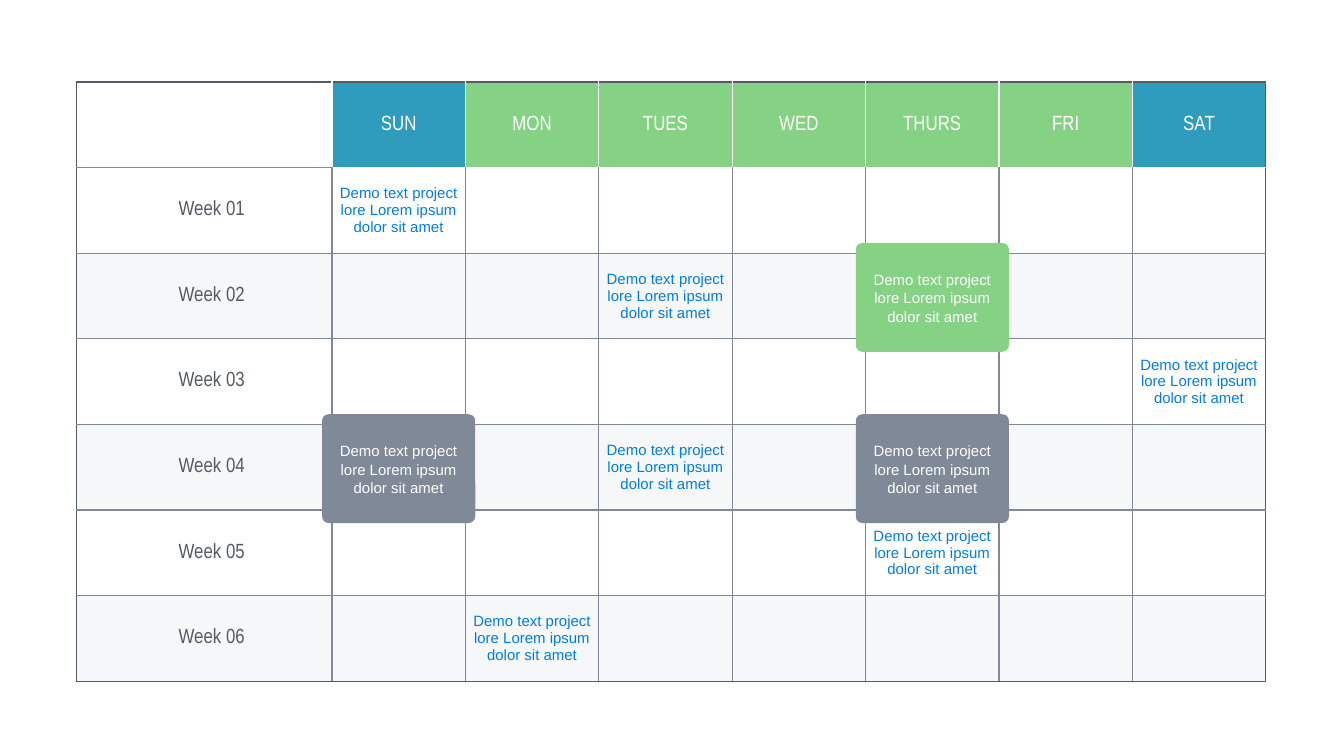
from lxml import etree
from pptx import Presentation
from pptx.dml.color import RGBColor
from pptx.enum.shapes import MSO_SHAPE
from pptx.enum.text import MSO_ANCHOR, PP_ALIGN
from pptx.oxml.ns import qn
from pptx.util import Inches, Pt

CENTER = PP_ALIGN.CENTER
MIDDLE = MSO_ANCHOR.MIDDLE
ROUNDED = MSO_SHAPE.ROUNDED_RECTANGLE

COLORS = {
    "white": "FFFFFF",
    "blue": "2F9BBD",
    "green": "86D285",
    "gray": "7F8998",
    "dark": "545B63",
    "note": "007DDC",
    "band": "EEF0F4",
}
DAYS = ["SUN", "MON", "TUES", "WED", "THURS", "FRI", "SAT"]
WEEKS = 6
NOTE = "Demo text project lore Lorem ipsum dolor sit amet"
NOTE_CELLS = [(1, 1), (2, 3), (3, 7), (4, 3), (5, 5), (6, 2)]
CARDS = [(2, 5, "green"), (4, 1, "gray"), (4, 5, "gray")]
LEFT, TOP, WIDTH, HEIGHT = 0.57, 0.61, 8.85, 4.46
LABEL_W = 1.9
DAY_W = (WIDTH - LABEL_W) / len(DAYS)
ROW_H = HEIGHT / (WEEKS + 1)
CARD_W, CARD_H, CARD_DROP = 1.14, 0.81, 0.01


def rgb(name):
    """Return the named palette colour."""
    return RGBColor.from_string(COLORS[name])


def write(tf, text, size, font, color):
    """Put one centred, formatted paragraph in a text frame."""
    tf.word_wrap = True
    p = tf.paragraphs[0]
    p.text = text
    p.alignment = CENTER
    p.font.size = Pt(size)
    p.font.name = font
    p.font.color.rgb = rgb(color)


def set_borders(cell, row, col):
    """Draw a dark outer frame, white header rules and gray inner rules."""
    header_day = row == 0 and col > 0
    sides = {
        "lnL": "dark" if col == 0 else "white" if row == 0 else "gray",
        "lnR": "dark" if col == len(DAYS) else "white" if row == 0 else "gray",
        "lnT": "dark" if row == 0 else "white" if row == 1 and col else "gray",
        "lnB": "dark" if row == WEEKS else "white" if header_day else "gray",
    }
    tcPr = cell._tc.get_or_add_tcPr()
    for tag, color in sides.items():
        ln = etree.SubElement(tcPr, qn(f"a:{tag}"), w=str(Pt(0.75)))
        fill = etree.SubElement(ln, qn("a:solidFill"))
        etree.SubElement(fill, qn("a:srgbClr"), val=COLORS[color])


def set_fill(cell, row, col):
    """Colour the day headers and band every second week."""
    if row == 0 and col:
        cell.fill.solid()
        cell.fill.fore_color.rgb = rgb("blue" if col in (1, len(DAYS)) else "green")
    elif row and row % 2 == 0:
        cell.fill.solid()
        cell.fill.fore_color.rgb = rgb("band")
        clr = cell._tc.tcPr.find(qn("a:solidFill")).find(qn("a:srgbClr"))
        etree.SubElement(clr, qn("a:alpha"), val="50000")
    else:
        cell.fill.background()


def add_calendar(s, left, top, width, height):
    """Add the table of weeks and days."""
    shape = s.shapes.add_table(WEEKS + 1, len(DAYS) + 1, Inches(left), Inches(top),
                               Inches(width), Inches(height))
    table = shape.table
    table.first_row = table.horz_banding = False
    for col, column in enumerate(table.columns):
        column.width = Inches(DAY_W if col else LABEL_W)
    for row, table_row in enumerate(table.rows):
        table_row.height = Inches(ROW_H)
        for col, cell in enumerate(table_row.cells):
            cell.vertical_anchor = MIDDLE
            cell.margin_left = Inches(0.15 if row and not col else 0.04)
            cell.margin_right = Inches(0.04)
            cell.margin_top = cell.margin_bottom = Inches(0.02)
            set_borders(cell, row, col)
            set_fill(cell, row, col)
            if row == 0 and col:
                write(cell.text_frame, DAYS[col - 1], 11, "Arial Narrow", "white")
            elif row and col == 0:
                write(cell.text_frame, f"Week {row:02}", 11, "Arial Narrow", "dark")
            elif (row, col) in NOTE_CELLS:
                write(cell.text_frame, NOTE, 8, "Arial", "note")


def add_card(s, left, top, width, height, color):
    """Add a rounded highlight card."""
    sp = s.shapes.add_shape(ROUNDED, Inches(left), Inches(top),
                            Inches(width), Inches(height))
    sp.adjustments[0] = 0.06
    sp.shadow.inherit = False
    sp.fill.solid()
    sp.fill.fore_color.rgb = rgb(color)
    sp.line.fill.background()
    tf = sp.text_frame
    tf.margin_left = tf.margin_right = Inches(0.02)
    tf.margin_top = tf.margin_bottom = Inches(0.02)
    tf.vertical_anchor = MIDDLE
    write(tf, NOTE, 8, "Arial", "white")
    tf.paragraphs[0].line_spacing = 1.05


def main():
    """Build the calendar slide."""
    prs = Presentation()
    prs.slide_width = Inches(10)
    prs.slide_height = prs.slide_width * 9 // 16
    s = prs.slides.add_slide(prs.slide_layouts[6])
    add_calendar(s, LEFT, TOP, WIDTH, HEIGHT)
    for row, col, color in CARDS:
        center_x = LEFT + LABEL_W + (col - 0.5) * DAY_W
        center_y = TOP + (row + 0.5) * ROW_H + CARD_DROP
        add_card(s, center_x - CARD_W / 2, center_y - CARD_H / 2,
                 CARD_W, CARD_H, color)
    prs.save("out.pptx")


if __name__ == "__main__":
    main()
